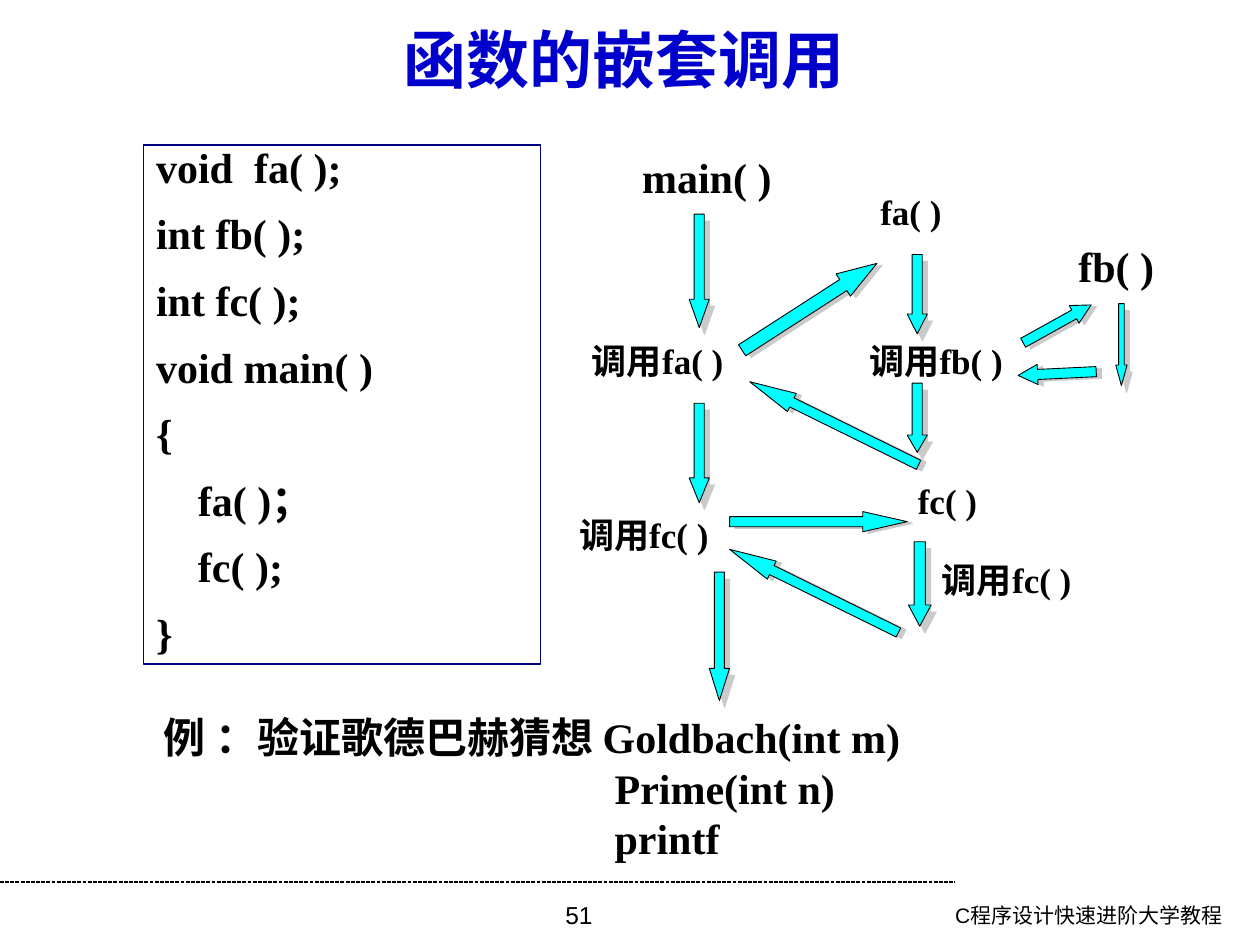
import math
import pptx
import pptx.util
import pptx.dml.color
import pptx.enum.dml
import pptx.enum.shapes
import pptx.enum.text
import pptx.oxml
import pptx.oxml.ns

Inches, Pt = pptx.util.Inches, pptx.util.Pt
RGBColor = pptx.dml.color.RGBColor
SHAPES = pptx.enum.shapes.MSO_SHAPE
ALIGN = pptx.enum.text.PP_ALIGN
ANCHOR = pptx.enum.text.MSO_ANCHOR

BLACK = RGBColor(0x00, 0x00, 0x00)
NAVY = RGBColor(0x00, 0x00, 0x80)
BLUE = RGBColor(0x00, 0x00, 0xCC)
CYAN = RGBColor(0x00, 0xFF, 0xFF)
SHADOW = RGBColor(0xCA, 0xCA, 0xCA)
SERIF, SANS = "Times New Roman", "Arial"

# Content
TITLE = "函数的嵌套调用"
CODE = ["void  fa( );", "int fb( );", "int fc( );", "void main( )",
        "{", "    fa( )；", "    fc( );", "}"]
# Each example line with its indent in inches
EXAMPLE = [("例 ：验证歌德巴赫猜想 Goldbach(int m)", 0),
           ("Prime(int n)", 3.58), ("printf", 3.58)]
PAGE_NUMBER = "51"
FOOTER = "C程序设计快速进阶大学教程"

# Diagram labels: text, centre x, centre y, size
LABELS = [
    ("main( )", 5.61, 1.4, 24),
    ("调用fa( )", 5.22, 2.86, 20),
    ("调用fc( )", 5.11, 4.24, 20),
    ("fa( )", 7.23, 1.68, 20),
    ("调用fb( )", 7.43, 2.86, 20),
    ("fc( )", 7.52, 3.97, 20),
    ("调用fc( )", 7.99, 4.6, 20),
    ("fb( )", 8.86, 2.11, 24),
]

# Block arrows: tail, tip, width
ARROWS = [
    ((5.55, 1.7), (5.55, 2.6), 0.16),
    ((7.28, 2.02), (7.28, 2.65), 0.16),
    ((5.89, 2.78), (6.96, 2.09), 0.21),
    ((5.55, 3.2), (5.55, 3.99), 0.16),
    ((7.3, 4.3), (7.3, 4.97), 0.18),
    ((7.13, 5.02), (5.79, 4.36), 0.16),
    ((5.79, 4.14), (7.2, 4.14), 0.16),
    ((5.71, 4.54), (5.71, 5.56), 0.16),
    ((8.9, 2.41), (8.9, 3.06), 0.09),
    ((8.12, 2.72), (8.66, 2.42), 0.16),
    ((8.7, 2.95), (8.08, 2.98), 0.16),
    ((7.29, 3.69), (5.95, 3.03), 0.16),
    ((7.28, 3.04), (7.28, 3.59), 0.16),
]
HEAD_SHARE = 0.25


def write(shape, lines, size, font=SERIF, bold=True, color=BLACK,
          align=ALIGN.LEFT, anchor=ANCHOR.TOP, wrap=True):
    """Put one paragraph per line into the shape and return the paragraphs."""
    frame = shape.text_frame
    frame.word_wrap = wrap
    frame.vertical_anchor = anchor
    for index, line in enumerate(lines):
        paragraph = frame.add_paragraph() if index else frame.paragraphs[0]
        paragraph.alignment = align
        run = paragraph.add_run()
        run.text = line
        run.font.name, run.font.size, run.font.bold = font, Pt(size), bold
        run.font.color.rgb = color
    return frame.paragraphs


def add_text(slide, box, lines, size, **style):
    textbox = slide.shapes.add_textbox(*map(Inches, box))
    return write(textbox, lines, size, **style)


def add_effects(shape, shadow=None):
    """Add an effect list, with a hard shadow of (distance, angle) if given."""
    properties = shape.element.spPr
    for old in properties.findall(pptx.oxml.ns.qn("a:effectLst")):
        properties.remove(old)
    inner = ""
    if shadow:
        distance, angle = shadow
        inner = (f'<a:outerShdw blurRad="0" dist="{Pt(distance)}" '
                 f'dir="{angle * 60000}" algn="ctr" rotWithShape="0">'
                 f'<a:srgbClr val="{SHADOW}"/></a:outerShdw>')
    namespace = pptx.oxml.ns.nsdecls("a")
    properties.append(pptx.oxml.parse_xml(
        f"<a:effectLst {namespace}>{inner}</a:effectLst>"))


def add_arrow(slide, tail, tip, width):
    dx, dy = tip[0] - tail[0], tip[1] - tail[1]
    length = math.hypot(dx, dy)
    left = (tail[0] + tip[0] - width) / 2
    top = (tail[1] + tip[1] - length) / 2
    arrow = slide.shapes.add_shape(
        SHAPES.DOWN_ARROW, *map(Inches, (left, top, width, length)))
    arrow.rotation = math.degrees(math.atan2(-dx, dy)) % 360
    arrow.adjustments[0] = 0.5
    arrow.adjustments[1] = HEAD_SHARE * length / width
    arrow.fill.solid()
    arrow.fill.fore_color.rgb = CYAN
    arrow.line.color.rgb = BLACK
    arrow.line.width = Pt(0.5)
    add_effects(arrow, (3.2, 18) if dx else (5, 53))


def main():
    presentation = pptx.Presentation()
    presentation.slide_width, presentation.slide_height = Inches(10), Inches(7.5)
    slide = presentation.slides.add_slide(presentation.slide_layouts[6])

    # Footer
    rule = slide.shapes.add_connector(
        pptx.enum.shapes.MSO_CONNECTOR.STRAIGHT,
        *map(Inches, (0, 7, 7.58, 7)))
    rule.line.color.rgb = BLACK
    rule.line.width = Pt(0.75)
    rule.line.dash_style = pptx.enum.dml.MSO_LINE.SQUARE_DOT
    add_effects(rule)
    add_text(slide, (6.57, 7.11, 3.23, 0.39), [FOOTER], 12,
             font=SANS, bold=False, align=ALIGN.RIGHT)
    add_text(slide, (3.43, 7.09, 2.33, 0.41), [PAGE_NUMBER], 14,
             font=SANS, bold=False, align=ALIGN.CENTER)

    # Title
    add_text(slide, (0.43, 0.21, 9.05, 0.5), [TITLE], 36, font=SANS,
             color=BLUE, align=ALIGN.CENTER, anchor=ANCHOR.MIDDLE)

    # Code listing
    listing = slide.shapes.add_shape(
        SHAPES.RECTANGLE, *map(Inches, (1.14, 1.15, 3.15, 4.12)))
    listing.shadow.inherit = False
    listing.fill.background()
    listing.line.color.rgb = NAVY
    listing.line.width = Pt(0.75)
    for index, paragraph in enumerate(write(listing, CODE, 24)):
        paragraph.line_spacing = 0.8
        paragraph.space_before = Pt(15 if index else 0)

    # Call diagram
    for arrow in ARROWS:
        add_arrow(slide, *arrow)
    for text, center_x, center_y, size in LABELS:
        width, height = 1.4, 0.5
        add_text(slide, (center_x - width / 2, center_y - height / 2, width, height),
                 [text], size, align=ALIGN.CENTER, anchor=ANCHOR.MIDDLE, wrap=False)

    # Example, wide enough to keep its first line whole
    paragraphs = add_text(slide, (1.2, 5.6, 7, 1.3),
                          [text for text, _ in EXAMPLE], 24,
                          anchor=ANCHOR.MIDDLE)
    for paragraph, (_, indent) in zip(paragraphs, EXAMPLE):
        properties = paragraph._p.get_or_add_pPr()
        properties.set("marL", str(Inches(indent)))
        properties.set("indent", "0")

    presentation.save("out.pptx")


if __name__ == "__main__":
    main()
